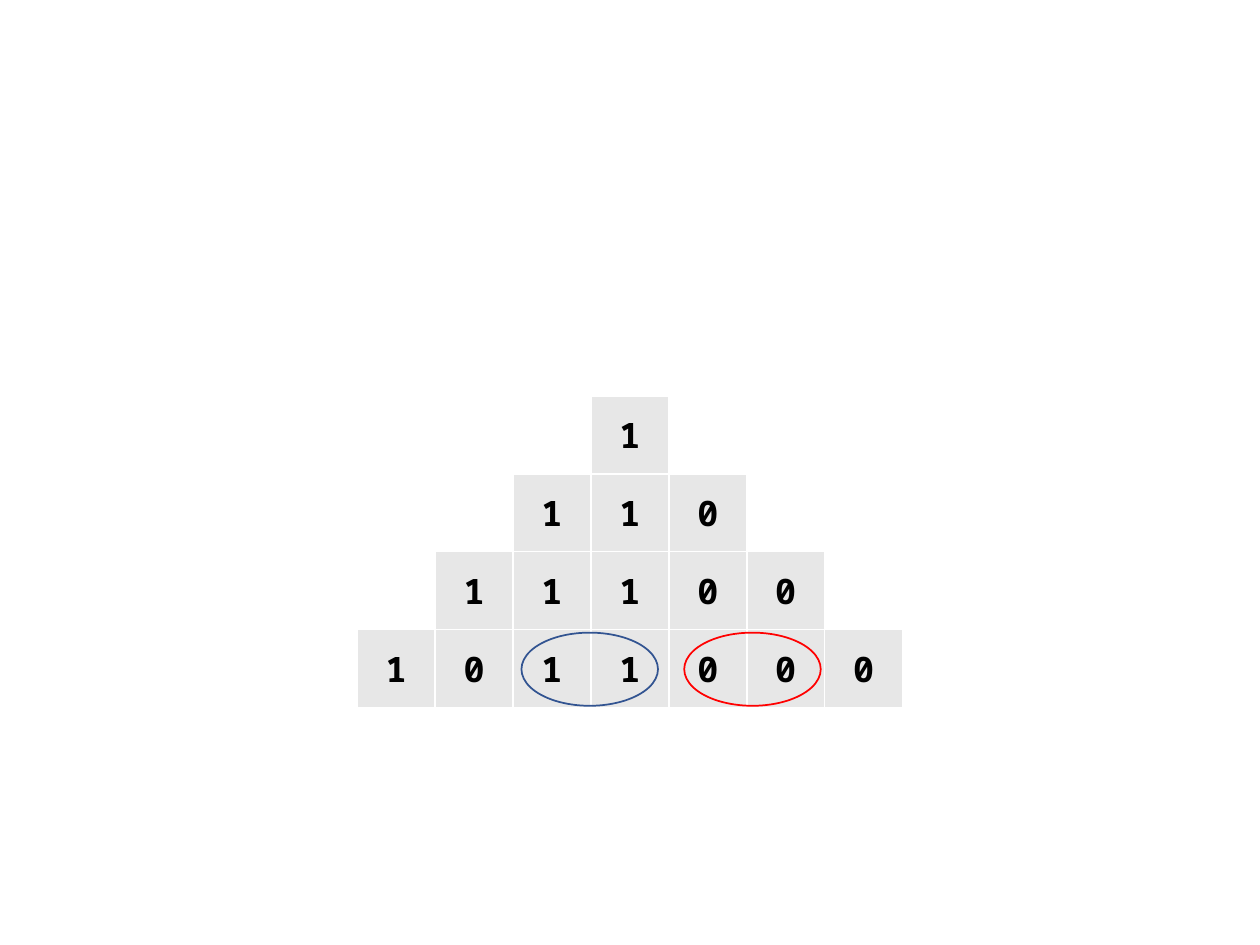
from dataclasses import dataclass

from lxml.etree import SubElement
from pptx import Presentation
from pptx.dml.color import RGBColor as RGB
from pptx.enum.shapes import MSO_SHAPE as SHAPE
from pptx.enum.text import MSO_ANCHOR as ANCHOR, PP_ALIGN as ALIGN
from pptx.oxml.ns import qn
from pptx.util import Pt


@dataclass(frozen=True)
class Theme:
    cell: str = "E7E7E7"
    border: str = "FFFFFF"
    text: str = "000000"
    ones: str = "325491"
    zeros: str = "FF0000"
    font: str = "Noto Sans Mono"
    size: int = 20
    line: int = 1


def add_borders(cell):
    tc_pr = cell._tc.get_or_add_tcPr()
    for side in ("lnL", "lnR", "lnT", "lnB"):
        ln = SubElement(tc_pr, qn(f"a:{side}"), w=str(Pt(theme.line)))
        fill = SubElement(ln, qn("a:solidFill"))
        SubElement(fill, qn("a:srgbClr"), val=theme.border)


theme = Theme()
slide_w, slide_h = 720, 540
rows = ["1", "110", "11100", "1011000"]
n_cols = len(rows[-1])
side = 44.55
left, top = (slide_w - n_cols * side) / 2, 226.2

prs = Presentation()
prs.slide_width, prs.slide_height = Pt(slide_w), Pt(slide_h)
s = prs.slides.add_slide(prs.slide_layouts[6])

table = s.shapes.add_table(
    len(rows), n_cols, Pt(left), Pt(top), Pt(n_cols * side), Pt(len(rows) * side)
).table
table.first_row = table.horz_banding = False
for col in table.columns:
    col.width = Pt(side)

for i, digits in enumerate(rows):
    table.rows[i].height = Pt(side)
    for j, digit in enumerate(digits.center(n_cols)):
        cell = table.cell(i, j)
        add_borders(cell)
        if digit == " ":
            cell.fill.background()
            continue
        cell.fill.solid()
        cell.fill.fore_color.rgb = RGB.from_string(theme.cell)
        cell.vertical_anchor = ANCHOR.MIDDLE
        p = cell.text_frame.paragraphs[0]
        p.text = digit
        p.alignment = ALIGN.CENTER
        p.font.name = theme.font
        p.font.size = Pt(theme.size)
        p.font.bold = True
        p.font.color.rgb = RGB.from_string(theme.text)

for x, color in ((298, theme.ones), (391, theme.zeros)):
    sp = s.shapes.add_shape(SHAPE.OVAL, Pt(x), Pt(361.5), Pt(78), Pt(41.8))
    sp.shadow.inherit = False
    sp.fill.background()
    sp.line.color.rgb = RGB.from_string(color)
    sp.line.width = Pt(theme.line)

prs.save("out.pptx")
